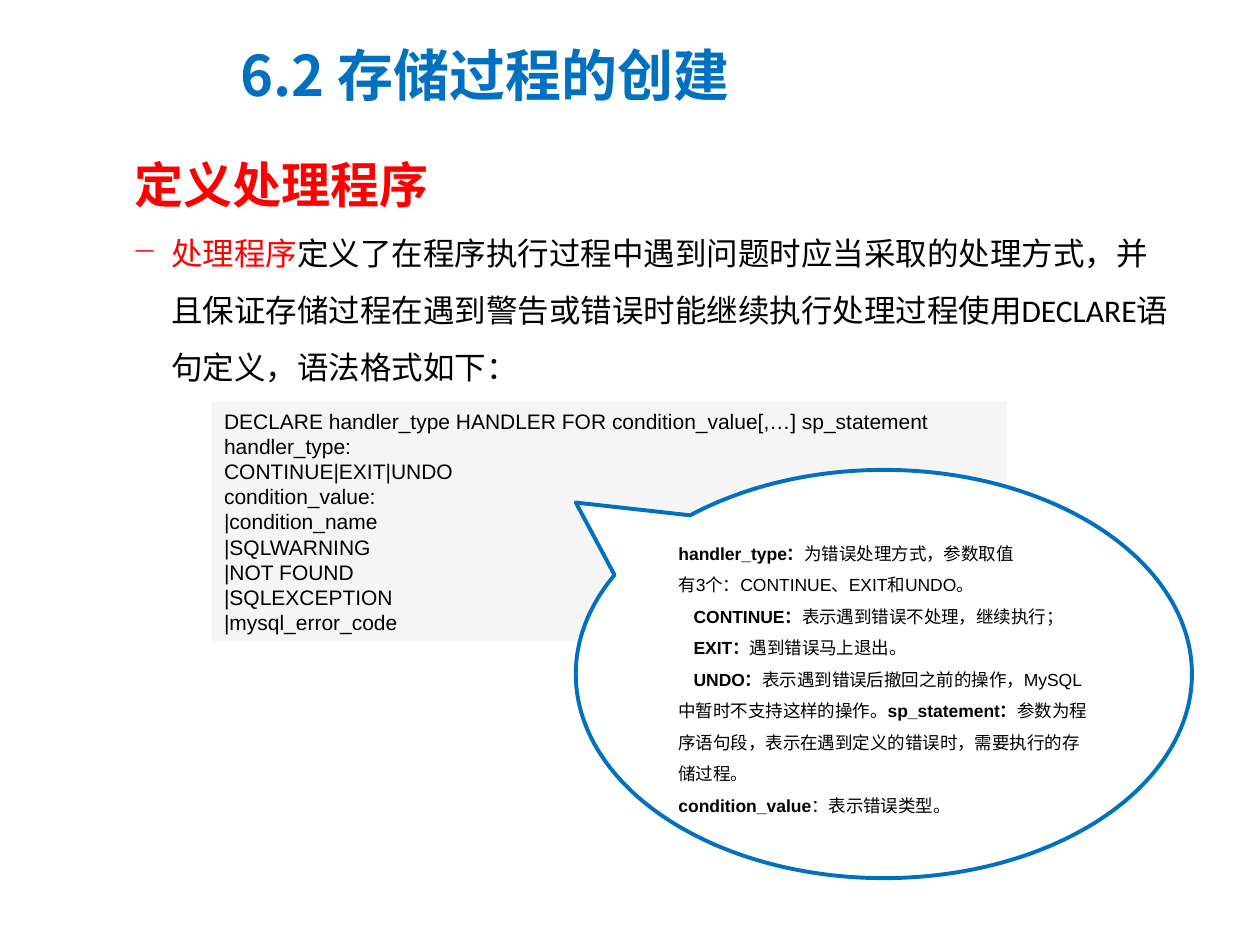
from lxml import etree
from pptx import Presentation
from pptx.dml.color import RGBColor
from pptx.enum.shapes import MSO_SHAPE
from pptx.enum.text import MSO_ANCHOR, MSO_AUTO_SIZE, PP_ALIGN
from pptx.oxml.ns import qn
from pptx.util import Inches, Pt

RECT = MSO_SHAPE.RECTANGLE
BUBBLE = MSO_SHAPE.OVAL_CALLOUT
TOP, MIDDLE = MSO_ANCHOR.TOP, MSO_ANCHOR.MIDDLE
LEFT = PP_ALIGN.LEFT
NO_FIT = MSO_AUTO_SIZE.NONE

COLORS = {"blue": "0070C0", "red": "FF0000", "black": "000000",
          "gray": "F5F5F5", "white": "FFFFFF"}
SANS, CJK, LATIN = "Arial", "Noto Sans CJK SC", "Calibri"

CODE = """DECLARE handler_type HANDLER FOR condition_value[,…] sp_statement
handler_type:
CONTINUE|EXIT|UNDO
condition_value:
|condition_name
|SQLWARNING
|NOT FOUND
|SQLEXCEPTION
|mysql_error_code"""

# Each note: first-line indent, then (text, bold) runs.
NOTES = [
    (0, [("handler_type：", True), ("为错误处理方式，参数取值", False)]),
    (0, [("有3个：CONTINUE、EXIT和UNDO。", False)]),
    (0.12, [("CONTINUE：", True), ("表示遇到错误不处理，继续执行；", False)]),
    (0.12, [("EXIT：", True), ("遇到错误马上退出。", False)]),
    (0.12, [("UNDO：", True),
            ("表示遇到错误后撤回之前的操作，MySQL中暂时不支持这样的操作。", False),
            ("sp_statement：", True),
            ("参数为程序语句段，表示在遇到定义的错误时，需要执行的存储过程。", False)]),
    (0, [("condition_value", True), ("：表示错误类型。", False)]),
]


def color(name):
    return RGBColor.from_string(COLORS[name])


def place(shape, box):
    shape.left, shape.top, shape.width, shape.height = map(Inches, box)


def style(para, size, face, tint="black", bold=False, space=1.0):
    para.alignment = LEFT
    para.line_spacing = space
    font = para.font
    font.size, font.name, font.bold = Pt(size), face, bold
    font.color.rgb = color(tint)
    props = para._p.pPr.find(qn("a:defRPr"))
    etree.SubElement(props, qn("a:ea"), typeface=CJK)


def indent(para, left, first):
    props = para._p.get_or_add_pPr()
    props.set("marL", str(Inches(left)))
    props.set("indent", str(Inches(first)))
    return props


def add_run(para, text):
    run = para.add_run()
    run.text = text
    return run


def add_box(slide, box):
    frame = slide.shapes.add_textbox(*map(Inches, box)).text_frame
    frame.word_wrap = True
    return frame


def add_panel(slide, kind, box, fill, anchor):
    panel = slide.shapes.add_shape(kind, *map(Inches, box))
    panel.shadow.inherit = False
    panel.fill.solid()
    panel.fill.fore_color.rgb = color(fill)
    panel.line.fill.background()
    panel.text_frame.word_wrap = True
    panel.text_frame.vertical_anchor = anchor
    return panel


def add_title(slide, box):
    title = slide.shapes.title
    place(title, box)
    frame = title.text_frame
    frame.text = "6.2 存储过程的创建"
    frame.auto_size = NO_FIT
    frame.vertical_anchor = MIDDLE
    style(frame.paragraphs[0], 32, CJK, "blue", True, 0.9)


def add_heading(slide, box):
    para = add_box(slide, box).paragraphs[0]
    para.text = "定义处理程序"
    style(para, 28, CJK, "red", True, 1.5)


def add_body(slide, box):
    para = add_box(slide, box).paragraphs[0]
    props = indent(para, 0.81, -0.31)
    tint = etree.SubElement(props, qn("a:buClr"))
    etree.SubElement(tint, qn("a:srgbClr"), val=COLORS["red"])
    etree.SubElement(props, qn("a:buChar"), char="−")
    style(para, 18, SANS, space=1.5)
    add_run(para, "处理程序").font.color.rgb = color("red")
    add_run(para, "定义了在程序执行过程中遇到问题时应当采取的处理方式，"
                  "并且保证存储过程在遇到警告或错误时能继续执行")
    add_run(para, "处理过程使用DECLARE语句定义，语法格式如下：").font.name = LATIN


def add_code(slide, box):
    frame = add_panel(slide, RECT, box, "gray", TOP).text_frame
    frame.text = CODE
    for para in frame.paragraphs:
        style(para, 12, SANS)


def add_notes(slide, box):
    bubble = add_panel(slide, BUBBLE, box, "white", MIDDLE)
    bubble.adjustments[0], bubble.adjustments[1] = -0.5, -0.42
    bubble.line.color.rgb = color("blue")
    bubble.line.width = Pt(2.25)
    frame = bubble.text_frame
    for i, (first, runs) in enumerate(NOTES):
        para = frame.add_paragraph() if i else frame.paragraphs[0]
        indent(para, 0, first)
        style(para, 10, SANS, space=1.5)
        for text, bold in runs:
            add_run(para, text).font.bold = bold


def main():
    deck = Presentation()
    deck.slide_width, deck.slide_height = Inches(10), Inches(7.5)
    slide = deck.slides.add_slide(deck.slide_layouts[5])
    add_body(slide, (0.45, 1.66, 8.97, 4.1))
    add_title(slide, (1.81, 0.2, 6.61, 0.85))
    add_heading(slide, (0.97, 0.94, 4.28, 0.74))
    add_code(slide, (1.68, 3.19, 6.31, 1.9))
    add_notes(slide, (4.57, 3.73, 4.89, 3.24))
    deck.save("out.pptx")


if __name__ == "__main__":
    main()
